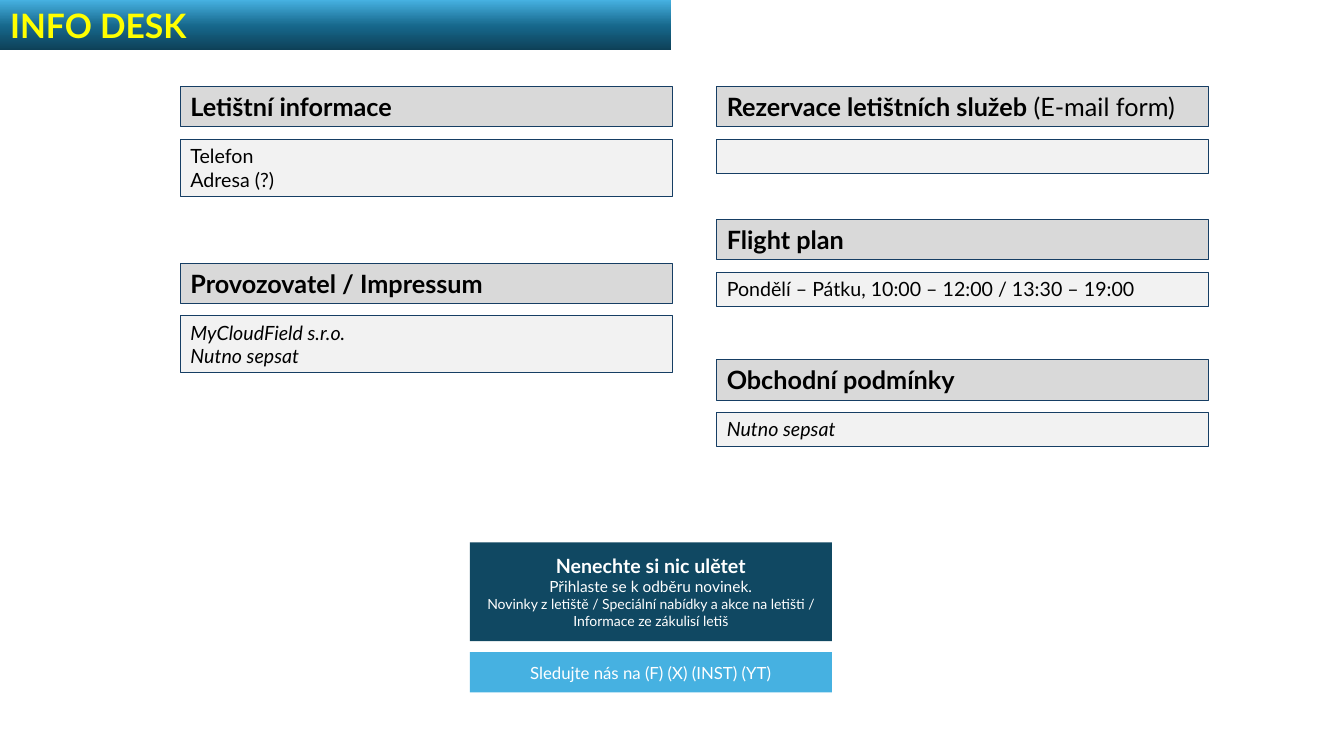
"""Build the info desk slide of an airport website."""
from copy import deepcopy

from pptx import Presentation
from pptx.dml.color import RGBColor
from pptx.enum.shapes import MSO_SHAPE as Shape
from pptx.enum.text import MSO_ANCHOR as Anchor, MSO_AUTO_SIZE as AutoSize, PP_ALIGN as Align
from pptx.oxml.ns import qn
from pptx.util import Inches, Pt

FONT = "Lato"
BLACK = RGBColor(0x00, 0x00, 0x00)
WHITE = RGBColor(0xFF, 0xFF, 0xFF)
YELLOW = RGBColor(0xFF, 0xFF, 0x00)
HEADING_GREY = RGBColor(0xD9, 0xD9, 0xD9)
BODY_GREY = RGBColor(0xF2, 0xF2, 0xF2)
OUTLINE = RGBColor(0x16, 0x3E, 0x64)
NAVY = RGBColor(0x10, 0x48, 0x62)
SKY = RGBColor(0x46, 0xB1, 0xE1)
BANNER_STOPS = [(0, RGBColor(0x0E, 0x40, 0x57)), (0.48, RGBColor(0x16, 0x67, 0x8B)), (1, SKY)]

LEFT_COLUMN, RIGHT_COLUMN, COLUMN_WIDTH = 1.79, 7.11, 4.88
HEADING_HEIGHT, BODY_OFFSET = 0.4, 0.52
ONE_LINE, TWO_LINES = 0.34, 0.57
FOOTER_LEFT, FOOTER_WIDTH = 4.66, 3.59


def write(para, text, size=14, color=BLACK, bold=False, italic=False):
    """Append formatted text to a paragraph, turning newlines into line breaks."""
    for index, line in enumerate(text.split("\n")):
        if index:
            para.add_line_break()
        if line:
            span = para.add_run()
            span.text = line
            font = span.font
            font.name, font.size, font.bold, font.italic = FONT, Pt(size), bold, italic
            font.color.rgb = color


def add_box(page, left, top, width, height, fill, line=None, anchor=Anchor.TOP, align=Align.LEFT):
    """Add a flat rectangle and return its text frame."""
    box = page.shapes.add_shape(
        Shape.RECTANGLE, Inches(left), Inches(top), Inches(width), Inches(height))
    box.shadow.inherit = False
    box.fill.solid()
    box.fill.fore_color.rgb = fill
    if line is None:
        box.line.fill.background()
    else:
        box.line.color.rgb = line
        box.line.width = Pt(0.75)
    frame = box.text_frame
    frame.word_wrap = True
    frame.vertical_anchor = anchor
    frame.paragraphs[0].alignment = align
    return frame


def add_section(page, left, top, heading, lines=(), height=ONE_LINE, note="", italic=False):
    """Add a heading bar with its body box below."""
    bar = add_box(page, left, top, COLUMN_WIDTH, HEADING_HEIGHT, HEADING_GREY, OUTLINE)
    write(bar.paragraphs[0], heading, size=18, bold=True)
    write(bar.paragraphs[0], note, size=18)
    body = add_box(page, left, top + BODY_OFFSET, COLUMN_WIDTH, height, BODY_GREY, OUTLINE)
    for index, line in enumerate(lines):
        para = body.add_paragraph() if index else body.paragraphs[0]
        para.alignment = Align.LEFT
        write(para, line, italic=italic)


def format_title(title, text):
    """Turn the title placeholder into the gradient banner."""
    title.left, title.top = Inches(0), Inches(0)
    title.width, title.height = Inches(6.66), Inches(0.5)
    title.fill.gradient()
    title.fill.gradient_angle = 90
    stop_list = title.element.spPr.find(qn("a:gradFill")).find(qn("a:gsLst"))
    stop_list.append(deepcopy(stop_list[0]))
    for stop, (position, color) in zip(title.fill.gradient_stops, BANNER_STOPS):
        stop.position = position
        stop.color.rgb = color
    frame = title.text_frame
    frame.word_wrap = True
    frame.auto_size = AutoSize.NONE
    frame.vertical_anchor = Anchor.TOP
    frame.paragraphs[0].alignment = Align.LEFT
    write(frame.paragraphs[0], text, size=24, color=YELLOW, bold=True)


def add_footer(page):
    """Add the newsletter and social media boxes."""
    centred = {"anchor": Anchor.MIDDLE, "align": Align.CENTER}
    news = add_box(page, FOOTER_LEFT, 5.38, FOOTER_WIDTH, 0.98, NAVY, **centred).paragraphs[0]
    write(news, "Nenechte si nic ulětet\n", color=WHITE, bold=True)
    write(news, "Přihlaste se k odběru novinek.\n", size=11, color=WHITE)
    write(news, "Novinky z letiště / Speciální nabídky a akce na letišti / "
                "Informace ze zákulisí letiš", size=10, color=WHITE)
    social = add_box(page, FOOTER_LEFT, 6.47, FOOTER_WIDTH, 0.4, SKY, **centred).paragraphs[0]
    write(social, "Sledujte nás na (F) (X) (INST) (YT)", size=12, color=WHITE)


def main():
    """Build and save the deck."""
    deck = Presentation()
    deck.slide_width, deck.slide_height = Inches(13.33), Inches(7.5)
    page = deck.slides.add_slide(deck.slide_layouts[5])
    format_title(page.shapes.title, "INFO DESK")
    add_section(page, LEFT_COLUMN, 0.86, "Letištní informace",
                ["Telefon", "Adresa (?)"], TWO_LINES)
    add_section(page, LEFT_COLUMN, 2.61, "Provozovatel / Impressum",
                ["MyCloudField s.r.o.\nNutno sepsat"], TWO_LINES, italic=True)
    add_section(page, RIGHT_COLUMN, 0.86, "Rezervace letištních služeb", note=" (E-mail form)")
    add_section(page, RIGHT_COLUMN, 2.18, "Flight plan",
                ["Pondělí – Pátku, 10:00 – 12:00 / 13:30 – 19:00"])
    add_section(page, RIGHT_COLUMN, 3.57, "Obchodní podmínky", ["Nutno sepsat"], italic=True)
    add_footer(page)
    deck.save("out.pptx")


if __name__ == "__main__":
    main()
